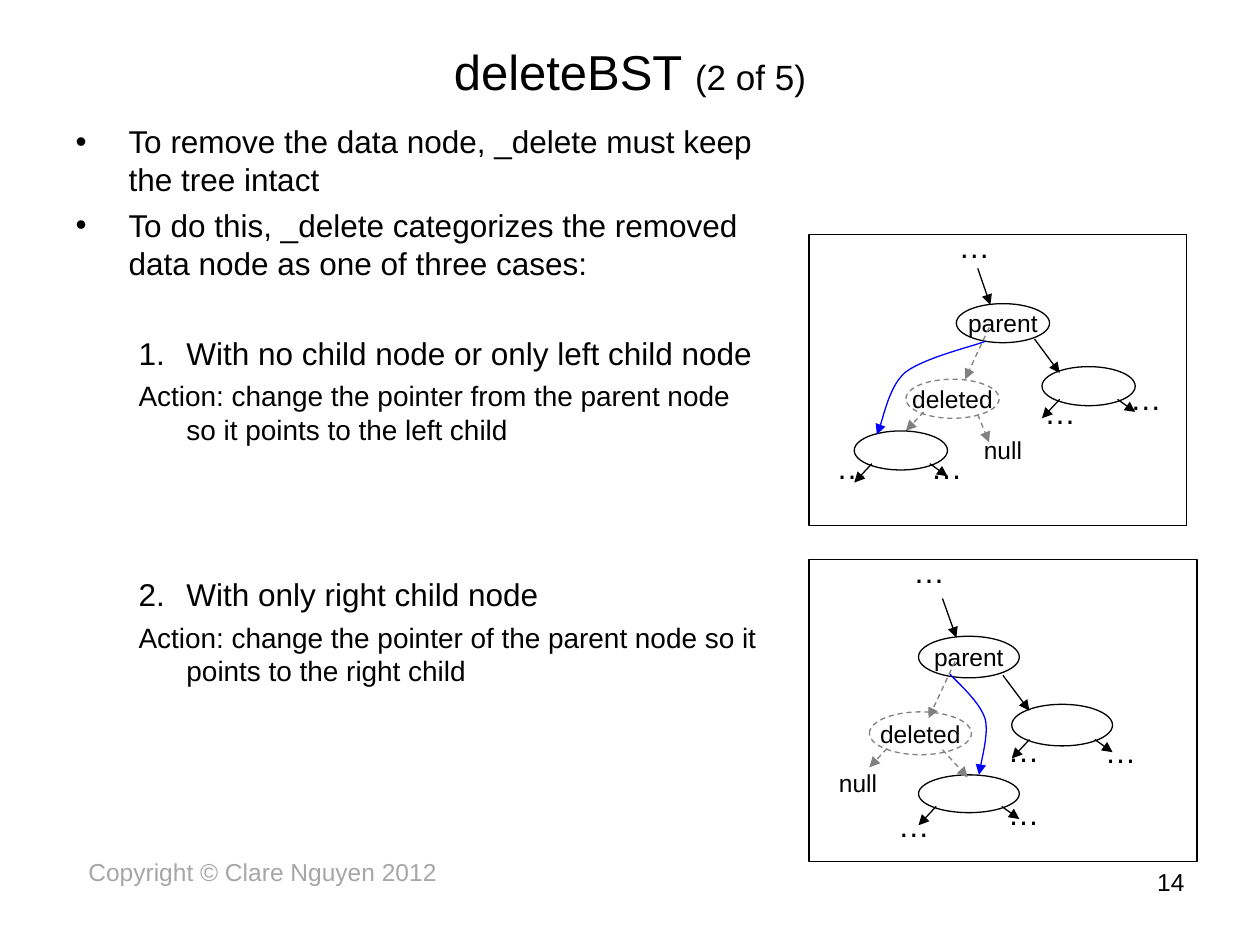
from dataclasses import dataclass

from lxml import etree
from pptx import Presentation
from pptx.dml.color import RGBColor
from pptx.enum.dml import MSO_LINE
from pptx.enum.shapes import MSO_CONNECTOR, MSO_SHAPE
from pptx.enum.text import MSO_ANCHOR, MSO_AUTO_SIZE, PP_ALIGN
from pptx.oxml.ns import qn
from pptx.util import Inches, Pt

LEFT, CENTER, RIGHT = PP_ALIGN.LEFT, PP_ALIGN.CENTER, PP_ALIGN.RIGHT
MIDDLE = MSO_ANCHOR.MIDDLE
NO_FIT, GROW = MSO_AUTO_SIZE.NONE, MSO_AUTO_SIZE.SHAPE_TO_FIT_TEXT
STRAIGHT = MSO_CONNECTOR.STRAIGHT
OVAL, RECTANGLE = MSO_SHAPE.OVAL, MSO_SHAPE.RECTANGLE
DASH = MSO_LINE.DASH
COLUMNS, ROWS = 100, 75


@dataclass(frozen=True)
class Theme:
    font: str = "Arial"
    ink: str = "000000"
    removed: str = "808080"
    pointer: str = "0000FF"
    footer: str = "A6A6A6"
    title: int = 28
    subtitle: int = 20
    body: int = 18
    action: int = 16
    label: int = 14
    line: float = 0.75


class SlideBuilder:
    def __init__(self, presentation, theme):
        self.theme = theme
        self.column = presentation.slide_width / COLUMNS
        self.row = presentation.slide_height / ROWS
        self.slide = presentation.slides.add_slide(presentation.slide_layouts[1])
        self.shapes = self.slide.shapes

    def point(self, x, y):
        return round(x * self.column), round(y * self.row)

    def place(self, shape, x, y, width, height):
        shape.left, shape.top = self.point(x, y)
        shape.width, shape.height = self.point(width, height)

    def run(self, paragraph, text, size, color=None):
        run = paragraph.add_run()
        run.text = text
        run.font.name = self.theme.font
        run.font.size = Pt(size)
        run.font.color.rgb = RGBColor.from_string(color or self.theme.ink)

    def title(self, box, parts):
        shape = self.shapes.title
        self.place(shape, *box)
        frame = shape.text_frame
        frame.auto_size = NO_FIT
        frame.vertical_anchor = MIDDLE
        frame.paragraphs[0].alignment = CENTER
        for text, size in parts:
            self.run(frame.paragraphs[0], text, size)

    def body(self, box, items):
        shape = self.slide.placeholders[1]
        self.place(shape, *box)
        frame = shape.text_frame
        frame.auto_size = NO_FIT
        for index, item in enumerate(items):
            paragraph = frame.add_paragraph() if index else frame.paragraphs[0]
            self.list_item(paragraph, *item)

    def list_item(self, paragraph, text, level, size, before, bullet, value):
        paragraph.level = level
        paragraph.space_before = Pt(before)
        margin, hanging = ((0.42, 0.42), (0.88, 0.38))[level]
        properties = paragraph._p.get_or_add_pPr()
        properties.set("marL", str(Inches(margin)))
        properties.set("indent", str(-Inches(hanging)))
        mark = etree.SubElement(properties, qn(f"a:{bullet}"))
        for name, setting in value.items():
            mark.set(name, setting)
        self.run(paragraph, text, size)

    def text(self, box, text, size, color=None, alignment=LEFT, wrap=False):
        shape = self.shapes.add_textbox(0, 0, 0, 0)
        self.place(shape, *box)
        frame = shape.text_frame
        frame.word_wrap = wrap
        frame.auto_size = NO_FIT if wrap else GROW
        frame.paragraphs[0].alignment = alignment
        self.run(frame.paragraphs[0], text, size, color)

    def dots(self, x, y):
        self.text((x, y, 4.5, 4), "…", self.theme.body)

    def stroke(self, line, color, dashed=False):
        line.color.rgb = RGBColor.from_string(color)
        line.width = Pt(self.theme.line)
        if dashed:
            line.dash_style = DASH

    def arrowhead(self, line):
        etree.SubElement(line._get_or_add_ln(), qn("a:tailEnd")).set("type", "triangle")

    def outline(self, preset, box, text="", removed=False):
        shape = self.shapes.add_shape(preset, 0, 0, 0, 0)
        self.place(shape, *box)
        shape.shadow.inherit = False
        shape.fill.background()
        self.stroke(shape.line, self.theme.removed if removed else self.theme.ink, removed)
        if text:
            frame = shape.text_frame
            frame.word_wrap = False
            frame.vertical_anchor = MIDDLE
            frame.paragraphs[0].alignment = CENTER
            self.run(frame.paragraphs[0], text, self.theme.label)

    def arrow(self, start, end, removed=False):
        connector = self.shapes.add_connector(STRAIGHT, *self.point(*start), *self.point(*end))
        etree.SubElement(connector._element.spPr, qn("a:effectLst"))
        self.stroke(connector.line, self.theme.removed if removed else self.theme.ink, removed)
        self.arrowhead(connector.line)

    def curve(self, start, *segments, steps=16):
        points = []
        origin = start
        for first, second, end in segments:
            for step in range(1, steps + 1):
                t = step / steps
                weights = ((1 - t) ** 3, 3 * t * (1 - t) ** 2, 3 * t * t * (1 - t), t ** 3)
                corners = (origin, first, second, end)
                points.append(self.point(*(
                    sum(weight * corner[axis] for weight, corner in zip(weights, corners))
                    for axis in (0, 1))))
            origin = end
        builder = self.shapes.build_freeform(*self.point(*start))
        builder.add_line_segments(points, close=False)
        shape = builder.convert_to_shape()
        shape.shadow.inherit = False
        shape.fill.background()
        self.stroke(shape.line, self.theme.pointer)
        self.arrowhead(shape.line)

    def left_branch(self, x, y, height, removed=False):
        bottom = y + height
        self.arrow((x + 1.4, bottom - 0.5), (x, bottom + 1), removed)

    def child(self, x, y, width, height):
        right, bottom = x + width, y + height
        self.outline(OVAL, (x, y, width, height))
        self.left_branch(x, y, height)
        self.arrow((right - 1.4, bottom - 0.5), (right, bottom + 0.5))

    def tree(self, frame, parent, deleted, children, arrows, removed_arrows, curve, null, dots):
        self.outline(OVAL, parent, "parent")
        self.outline(OVAL, deleted, "deleted", removed=True)
        x, y, _, height = deleted
        self.left_branch(x, y, height, removed=True)
        for box in children:
            self.child(*box)
        for start, end in arrows:
            self.arrow(start, end)
        for start, end in removed_arrows:
            self.arrow(start, end, removed=True)
        self.curve(*curve)
        self.text((*null, 5.2, 3.4), "null", self.theme.label)
        for position in dots:
            self.dots(*position)
        self.outline(RECTANGLE, frame)


def main():
    presentation = Presentation()
    presentation.slide_width, presentation.slide_height = Inches(10), Inches(7.5)
    theme = Theme()
    builder = SlideBuilder(presentation, theme)
    builder.title((5, 2.5, 90, 6.2), [("deleteBST ", theme.title), ("(2 of 5)", theme.subtitle)])

    dot = ("buChar", {"char": "•"})
    plain = ("buNone", {})
    builder.body((5, 9.2, 56.7, 53.3), [
        ("To remove the data node, _delete must keep the tree intact", 0, theme.body, 4.5, *dot),
        ("To do this, _delete categorizes the removed data node as one of three cases:",
         0, theme.body, 4.5, *dot),
        ("With no child node or only left child node", 1, theme.body, 30,
         "buAutoNum", {"type": "arabicPeriod"}),
        ("Action: change the pointer from the parent node so it points to the left child",
         1, theme.action, 4, *plain),
        ("With only right child node", 1, theme.body, 74,
         "buAutoNum", {"type": "arabicPeriod", "startAt": "2"}),
        ("Action: change the pointer of the parent node so it points to the right child",
         1, theme.action, 4, *plain),
    ])

    builder.tree(
        frame=(64.2, 18.6, 30, 23.1), parent=(75.9, 24.1, 7.4, 3.1), deleted=(71.9, 30.1, 7.4, 3.1),
        children=[(67.8, 34.2, 7.4, 3.1), (82.7, 29.1, 7.4, 3.1)],
        arrows=[((77.6, 21.3), (78.6, 24.2)), ((82.1, 26.9), (84.1, 29.6))],
        removed_arrows=[((78.5, 26), (76.6, 30.1)), ((77.6, 32.9), (78.5, 35.1))],
        curve=((78.2, 27.1), ((77.2, 27.5), (73.3, 28.4), (71.8, 29.6)),
               ((70.4, 30.9), (70.1, 33.5), (69.6, 34.5))),
        null=(77.1, 34),
        dots=[(75.1, 17.5), (88.7, 29.6), (72.9, 35.1), (65.4, 35.1), (81.9, 30.7)])
    builder.tree(
        frame=(64.2, 44.4, 30.8, 24), parent=(72.9, 50.5, 8, 3.3), deleted=(69, 56.5, 8.1, 3.4),
        children=[(72.9, 61.5, 8, 3), (80.3, 55.9, 8, 3.3)],
        arrows=[((74.8, 47.5), (75.9, 50.6)), ((79.6, 53.6), (81.7, 56.4))],
        removed_arrows=[((75.8, 52.5), (73.7, 57)), ((74.8, 59.5), (76.8, 61.7))],
        curve=((75.4, 53.5), ((75.9, 54.1), (77.8, 55.7), (78.2, 57.1)),
               ((78.5, 58.4), (77.8, 60.6), (77.7, 61.5))),
        null=(65.6, 60.5),
        dots=[(71.5, 43.3), (86.7, 57.6), (79, 62.5), (70.3, 63.5), (79, 57.5)])

    builder.text((5, 67.5, 31.7, 5.2), "Copyright © Clare Nguyen 2012", theme.label,
                 theme.footer, CENTER, wrap=True)
    builder.text((71.7, 68.3, 23.3, 5.2), "14", theme.label, alignment=RIGHT, wrap=True)
    presentation.save("out.pptx")


if __name__ == "__main__":
    main()
